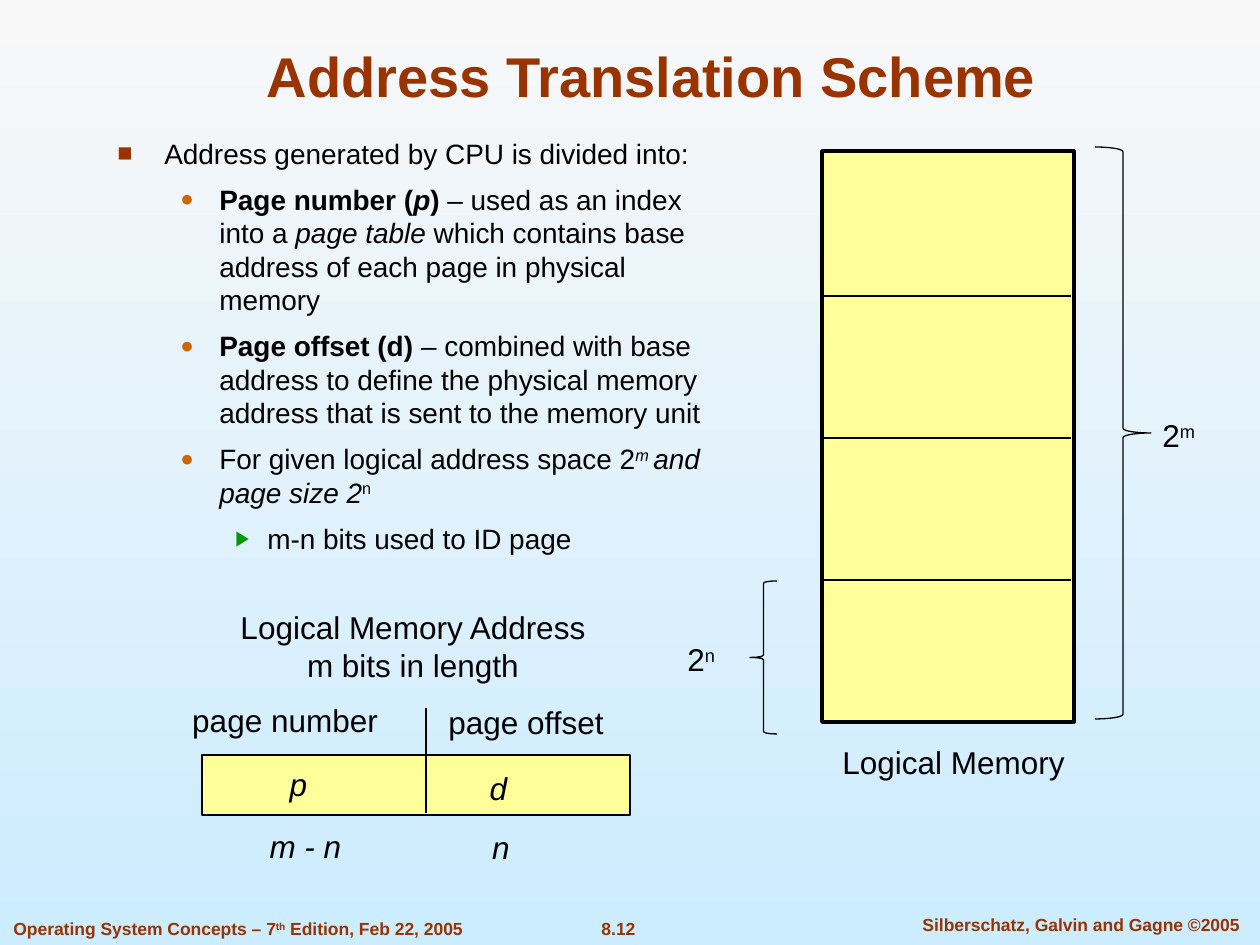
"""Build the Address Translation Scheme slide."""
from lxml import etree
from pptx import Presentation
from pptx.dml.color import RGBColor
from pptx.enum.shapes import MSO_CONNECTOR as Conn, MSO_SHAPE as Shape
from pptx.enum.text import MSO_ANCHOR as Anchor, PP_ALIGN as Align
from pptx.oxml.ns import qn
from pptx.util import Emu, Pt

RUST = RGBColor(0x99, 0x33, 0x00)
ORANGE = RGBColor(0xCC, 0x66, 0x00)
GREEN = RGBColor(0x00, 0x99, 0x00)
BLACK = RGBColor(0x00, 0x00, 0x00)
YELLOW = RGBColor(0xFF, 0xFF, 0x99)
SKY_TOP = RGBColor(0xF8, 0xF8, 0xF8)
SKY_BOTTOM = RGBColor(0xCC, 0xEC, 0xFF)

FONT = "Arial"
SCALE = 914400 / 126
L, C = Align.LEFT, Align.CENTER

# Run styles: b bold, i italic, ^ superscript
TITLE_BOX = (95, 30, 1113, 85)
TITLE = [("Address Translation Scheme", "b")]
BODY_BOX = (105, 130, 619, 574)
BODY = [
    (0, [("Address generated by CPU is divided into:", "")]),
    (1, [("Page number (", "b"), ("p", "bi"), (")", "b"),
         (" – used as an index into a ", ""), ("page table", "i"),
         (" which contains base address of each page in physical memory", "")]),
    (1, [("Page offset (d)", "b"),
         (" – combined with base address to define the physical memory "
          "address that is sent to the memory unit", "")]),
    (1, [("For given logical address space 2", ""), ("m ", "i^"),
         ("and page size 2", "i"), ("n", "^")]),
    (2, [("m-n bits used to ID page", "")]),
]
# Per level: bullet, colour, size in percent, left margin px, hanging px
BULLETS = [("■", RUST, 90, 47, 47), ("●", ORANGE, 80, 102, 39), ("▶", GREEN, 75, 150, 32)]

LABELS = [
    ((170, 695, 230, 50), C, [[("page number", "")]]),
    ((426, 697, 200, 50), C, [[("page offset", "")]]),
    ((267, 759, 63, 50), C, [[("p", "i")]]),
    ((467, 763, 63, 50), C, [[("d", "i")]]),
    ((241, 821, 129, 50), C, [[("m - n", "i")]]),
    ((471, 822, 60, 50), C, [[("n", "i")]]),
    ((1150, 410, 80, 50), L, [[("2", ""), ("m", "^")]]),
    ((830, 737, 280, 50), L, [[("Logical Memory", "")]]),
    ((675, 634, 70, 50), L, [[("2", ""), ("n", "^")]]),
    ((217, 602, 392, 88), C, [[("Logical Memory Address", "")], [("m bits in length", "")]]),
]
FOOTERS = [
    ((1, 912, 530, 33), L, [("Operating System Concepts – 7", "b"), ("th", "b^"),
                            (" Edition, Feb 22, 2005", "b")]),
    ((557, 912, 123, 33), C, [("8.12", "b")]),
    ((894, 908, 374, 33), C, [("Silberschatz, Galvin and Gagne ©2005", "b")]),
]

ADDRESS_BAR = (202, 755, 428, 60)
MEMORY = (822, 151, 252, 571)
BRACES = [(Shape.RIGHT_BRACE, (1095, 147, 56, 572)), (Shape.LEFT_BRACE, (750, 581, 27, 153))]
LINES = [(426, 708, 426, 813)] + [(824, y, 1071, y) for y in range(296, 581, 142)]


def px(*values):
    return [Emu(round(v * SCALE)) for v in values]


def add_runs(p, runs, size, color):
    p.line_spacing = Pt(size * 1.2)
    for text, style in runs:
        r = p.add_run()
        r.text = text
        f = r.font
        f.name, f.size, f.color.rgb = FONT, Pt(size), color
        f.bold, f.italic = "b" in style, "i" in style
        if "^" in style:
            r._r.get_or_add_rPr().set("baseline", "30000")


def add_text(s, box, paragraphs, size, color=BLACK, align=L, anchor=Anchor.TOP):
    tf = s.shapes.add_textbox(*px(*box)).text_frame
    tf.word_wrap, tf.vertical_anchor = True, anchor
    for i, runs in enumerate(paragraphs):
        p = tf.add_paragraph() if i else tf.paragraphs[0]
        p.alignment = align
        add_runs(p, runs, size, color)
    return tf


def set_bullet(p, level):
    char, color, percent, margin, hanging = BULLETS[level]
    p.level = level
    pPr = p._p.get_or_add_pPr()
    left, indent = px(margin, -hanging)
    pPr.set("marL", str(left))
    pPr.set("indent", str(indent))
    clr = etree.SubElement(pPr, qn("a:buClr"))
    etree.SubElement(clr, qn("a:srgbClr")).set("val", str(color))
    etree.SubElement(pPr, qn("a:buSzPct")).set("val", str(percent * 1000))
    etree.SubElement(pPr, qn("a:buFont")).set("typeface", FONT)
    etree.SubElement(pPr, qn("a:buChar")).set("char", char)


def add_shape(s, kind, box, fill=None, width=0.75):
    sp = s.shapes.add_shape(kind, *px(*box))
    sp.shadow.inherit = False
    if fill is None:
        sp.fill.background()
    else:
        sp.fill.solid()
        sp.fill.fore_color.rgb = fill
    sp.line.color.rgb, sp.line.width = BLACK, Pt(width)


def add_line(s, ends):
    line = s.shapes.add_connector(Conn.STRAIGHT, *px(*ends))
    line.line.color.rgb, line.line.width = BLACK, Pt(0.75)
    etree.SubElement(line._element.spPr, qn("a:effectLst"))


def main():
    prs = Presentation()
    prs.slide_width, prs.slide_height = px(1260, 945)
    s = prs.slides.add_slide(prs.slide_layouts[6])
    bg = s.background.fill
    bg.gradient()
    bg.gradient_angle = 270
    for stop, color in zip(bg.gradient_stops, (SKY_TOP, SKY_BOTTOM)):
        stop.color.rgb = color

    for box, align, runs in FOOTERS:
        add_text(s, box, [runs], 10, RUST, align)
    add_text(s, TITLE_BOX, [TITLE], 32, RUST, C, Anchor.BOTTOM)
    body = add_text(s, BODY_BOX, [runs for _, runs in BODY], 16)
    for i, (p, (level, _)) in enumerate(zip(body.paragraphs, BODY)):
        p.space_before = Pt(7 if i else 0)
        set_bullet(p, level)

    add_shape(s, Shape.RECTANGLE, ADDRESS_BAR, YELLOW)
    add_shape(s, Shape.RECTANGLE, MEMORY, YELLOW, 2)
    for kind, box in BRACES:
        add_shape(s, kind, box)
    for ends in LINES:
        add_line(s, ends)
    for box, align, paragraphs in LABELS:
        add_text(s, box, paragraphs, 18, align=align, anchor=Anchor.MIDDLE)
    prs.save("out.pptx")


if __name__ == "__main__":
    main()
